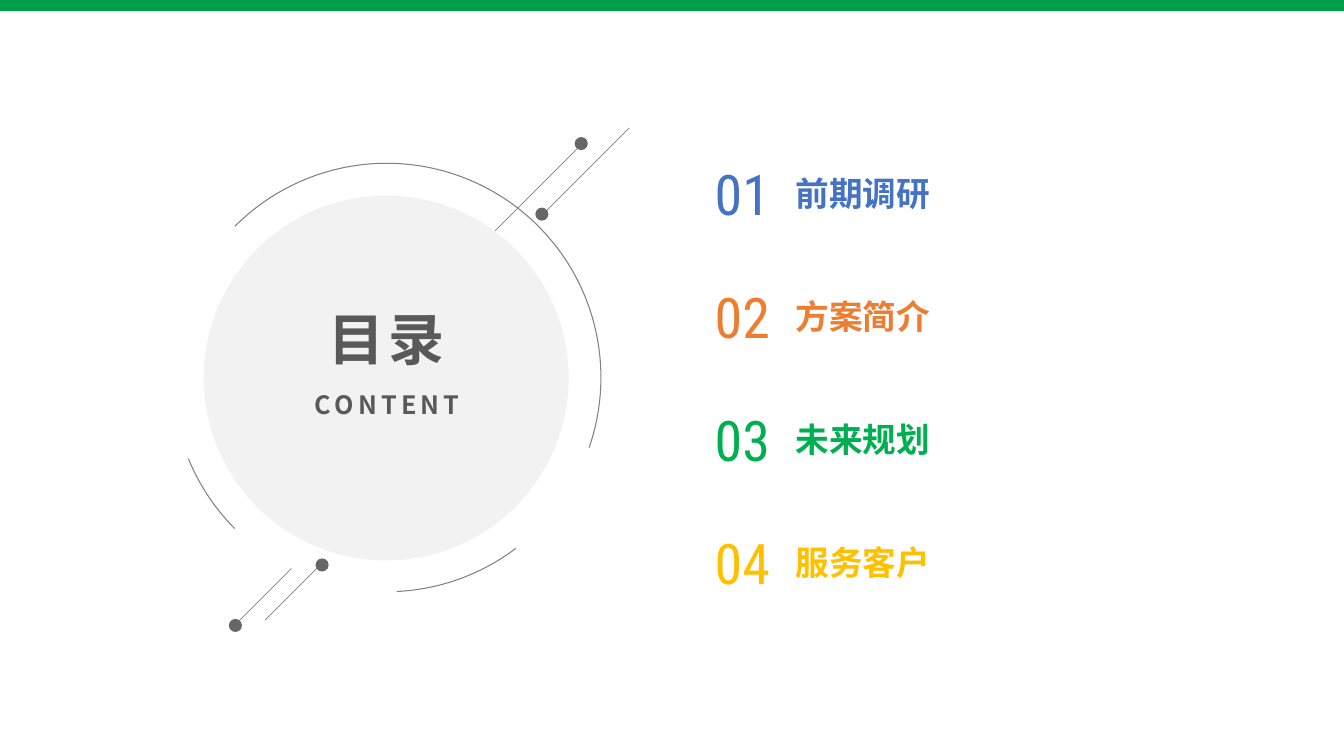
from dataclasses import dataclass
from pptx import Presentation
from pptx.dml.color import RGBColor
from pptx.enum.shapes import MSO_CONNECTOR, MSO_SHAPE
from pptx.enum.text import MSO_ANCHOR, PP_ALIGN
from pptx.oxml.ns import qn
from pptx.util import Inches, Pt
from lxml.etree import SubElement


@dataclass(frozen=True)
class Theme:
    bar: str = "009E48"
    disc: str = "F2F2F2"
    mask: str = "FFFFFF"
    line: str = "808080"
    dot: str = "666666"
    ink: str = "595959"
    hues: tuple = ("4472C4", "ED7D31", "00B050", "FFC000")
    sans: str = "Noto Sans CJK SC"
    slim: str = "Roboto Condensed"
    big: int = 40
    mid: int = 24
    small: int = 18


class Page:
    def __init__(self, slide, theme):
        self.slide = slide
        self.theme = theme

    def shape(self, kind, box, fill=None, line=None, turn=0):
        item = self.slide.shapes.add_shape(kind, *map(Inches, box))
        item.shadow.inherit = False
        item.rotation = turn
        if fill:
            item.fill.solid()
            item.fill.fore_color.rgb = RGBColor.from_string(fill)
        else:
            item.fill.background()
        if line:
            item.line.color.rgb = RGBColor.from_string(line)
            item.line.width = Pt(0.75)
        else:
            item.line.fill.background()
        return item

    def line(self, start, end):
        item = self.slide.shapes.add_connector(
            MSO_CONNECTOR.STRAIGHT, *map(Inches, start + end))
        item.line.color.rgb = RGBColor.from_string(self.theme.line)
        item.line.width = Pt(0.5)
        SubElement(item._element.spPr, qn("a:effectLst"))

    def dot(self, x, y):
        self.shape(MSO_SHAPE.OVAL, (x, y, 0.13, 0.13), self.theme.dot)

    def words(self, frame, text, size, color, face=None, bold=True,
              align=PP_ALIGN.LEFT, space=0):
        face = face or self.theme.sans
        para = frame.paragraphs[0]
        para.text = text
        para.alignment = align
        font = para.font
        font.size = Pt(size)
        font.bold = bold
        font.color.rgb = RGBColor.from_string(color)
        font.name = face
        props = para._p.pPr.find(qn("a:defRPr"))
        props.set("spc", str(space * 100))
        SubElement(props, qn("a:ea")).set("typeface", face)

    def label(self, box, text, size, color, anchor=MSO_ANCHOR.TOP,
              inset=None, **style):
        frame = self.slide.shapes.add_textbox(*map(Inches, box)).text_frame
        frame.word_wrap = False
        frame.vertical_anchor = anchor
        if inset is not None:
            frame.margin_left = Inches(inset)
            frame.margin_top = frame.margin_right = frame.margin_bottom = 0
        self.words(frame, text, size, color, **style)

    def topic(self, index, title):
        theme = self.theme
        hue = theme.hues[index]
        top = 1.53 + 1.22 * index
        self.label((6.99, top, 0.78, 0.77), f"{index + 1:02}", theme.big, hue,
                   MSO_ANCHOR.MIDDLE, face=theme.slim, bold=False)
        self.label((7.5, top - 0.01, 4.33, 0.6), title, theme.mid, hue,
                   MSO_ANCHOR.BOTTOM, 0.39)

    def emblem(self):
        theme = self.theme
        self.shape(MSO_SHAPE.OVAL, (1.71, 1.62, 4.25, 4.25), line=theme.line)
        for box, turn in (((4.4, 3.93, 1.87, 1.61), 313.8),
                          ((0.93, 2.37, 3.11, 1.61), 90),
                          ((1.51, 4.65, 3.11, 1.61), 15)):
            self.shape(MSO_SHAPE.ISOSCELES_TRIANGLE, box, theme.mask, turn=turn)
        for x, y, span in ((4.91, 2.29, 0.87), (5.37, 2.14, 0.87),
                           (2.63, 6.15, 0.57), (2.32, 6.21, 0.57)):
            self.line((x, y), (x + span, y - span))
        for x, y in ((2.27, 6.14), (3.13, 5.54), (5.31, 2.06), (5.7, 1.36)):
            self.dot(x, y)
        disc = self.shape(MSO_SHAPE.OVAL, (2.02, 1.94, 3.62, 3.62), theme.disc)
        frame = disc.text_frame
        frame.vertical_anchor = MSO_ANCHOR.MIDDLE
        frame.margin_bottom = Inches(0.85)
        self.words(frame, "目录", theme.big, theme.ink,
                   align=PP_ALIGN.CENTER, space=3)
        self.label((2.98, 3.81, 1.72, 0.4), "CONTENT", theme.small, theme.ink,
                   align=PP_ALIGN.CENTER, space=3)


def main():
    deck = Presentation()
    deck.slide_width = Inches(13.33)
    deck.slide_height = Inches(7.5)
    theme = Theme()
    page = Page(deck.slides.add_slide(deck.slide_layouts[6]), theme)
    for index, title in enumerate(("前期调研", "方案简介", "未来规划", "服务客户")):
        page.topic(index, title)
    page.emblem()
    page.shape(MSO_SHAPE.RECTANGLE, (0, 0, 13.33, 0.11), theme.bar)
    deck.save("out.pptx")


if __name__ == "__main__":
    main()
